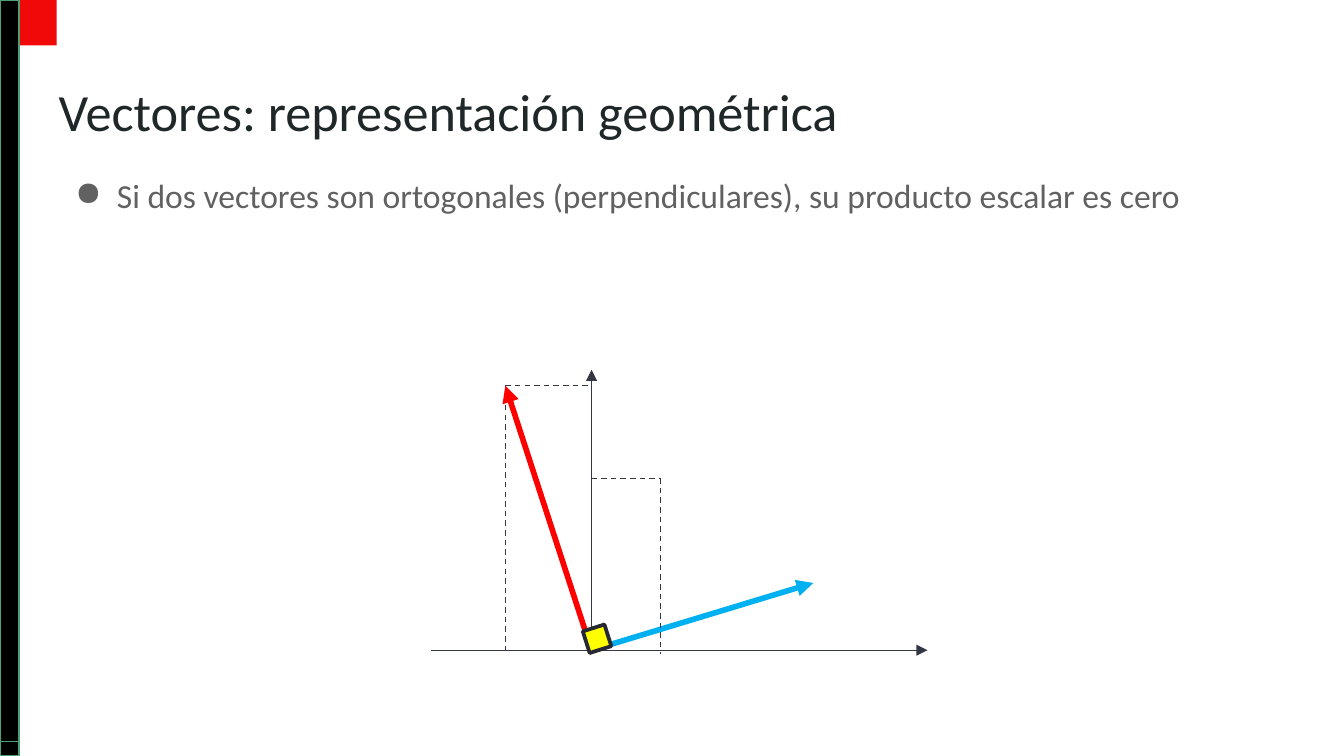
from lxml import etree
from pptx import Presentation
from pptx.dml.color import RGBColor
from pptx.enum.dml import MSO_LINE
from pptx.enum.shapes import MSO_CONNECTOR, MSO_SHAPE
from pptx.enum.text import MSO_ANCHOR
from pptx.oxml.ns import qn
from pptx.util import Cm, Pt

BLACK = RGBColor(0x00, 0x00, 0x00)
GREEN = RGBColor(0x4B, 0xA1, 0x73)
CRIMSON = RGBColor(0xF1, 0x09, 0x09)
TITLE = RGBColor(0x20, 0x27, 0x29)
GREY = RGBColor(0x61, 0x61, 0x61)
SLATE = RGBColor(0x33, 0x36, 0x43)
BLUE = RGBColor(0x00, 0xB0, 0xF0)
RED = RGBColor(0xFF, 0x00, 0x00)
YELLOW = RGBColor(0xFF, 0xFF, 0x00)
DARK = RGBColor(0x27, 0x29, 0x32)

WIDE, HIGH = 25.4, 14.29
BAR = 0.36
ZERO_X, ZERO_Y = 11.18, 12.29
RED_TIP = (9.55, 7.29)
BLUE_TIP = (15.37, 11.02)
MARK_X, MARK_Y = 12.48, 9.04


def add_rect(slide, x, y, w, h, fill, edge=None, width=0.75, turn=0):
    rect = slide.shapes.add_shape(MSO_SHAPE.RECTANGLE, Cm(x), Cm(y), Cm(w), Cm(h))
    rect.shadow.inherit = False
    rect.rotation = turn
    rect.fill.solid()
    rect.fill.fore_color.rgb = fill
    if edge is None:
        rect.line.fill.background()
    else:
        rect.line.color.rgb = edge
        rect.line.width = Pt(width)


def add_line(slide, start, end, color=SLATE, width=0.75, dash=False, arrow=False):
    ends = [Cm(v) for v in (*start, *end)]
    line = slide.shapes.add_connector(MSO_CONNECTOR.STRAIGHT, *ends)
    line.line.color.rgb = color
    line.line.width = Pt(width)
    if dash:
        line.line.dash_style = MSO_LINE.DASH
    if arrow:
        pen = line.line.fill._xPr
        etree.SubElement(pen, qn("a:tailEnd"), type="triangle")
    etree.SubElement(line._element.spPr, qn("a:effectLst"))


def add_text(slide, x, y, w, h, text, size, color, bullet=False):
    frame = slide.shapes.add_textbox(Cm(x), Cm(y), Cm(w), Cm(h)).text_frame
    frame.word_wrap = True
    frame.vertical_anchor = MSO_ANCHOR.TOP
    frame.margin_left = frame.margin_right = Cm(0.25)
    frame.margin_top = frame.margin_bottom = Cm(0.25)
    para = frame.paragraphs[0]
    if bullet:
        set_bullet(para, color)
        para.line_spacing = 1.15
    run = para.add_run()
    run.text = text
    run.font.name = "Calibri"
    run.font.size = Pt(size)
    run.font.color.rgb = color


def set_bullet(para, color):
    props = para._p.get_or_add_pPr()
    props.set("marL", str(Cm(0.79)))
    props.set("indent", str(-Cm(0.79)))
    tint = etree.SubElement(props, qn("a:buClr"))
    etree.SubElement(tint, qn("a:srgbClr"), val=str(color))
    etree.SubElement(props, qn("a:buChar"), char="●")


def add_frame(slide):
    """Draw the left bars and the corner block."""
    add_rect(slide, 0, 0, BAR, HIGH, BLACK, GREEN)
    add_rect(slide, 0, 0, 1.07, 0.86, CRIMSON)
    add_rect(slide, 0, 0, BAR, 14.02, BLACK, GREEN)


def add_plot(slide):
    """Draw the axes, both vectors, their guides and the right angle."""
    zero = (ZERO_X, ZERO_Y)
    red_x, red_y = RED_TIP
    add_line(slide, zero, (ZERO_X, 6.99), arrow=True)
    add_line(slide, (8.15, ZERO_Y), (17.53, ZERO_Y), arrow=True)
    add_line(slide, zero, BLUE_TIP, BLUE, 3, arrow=True)
    guides = [
        ((MARK_X, MARK_Y), (MARK_X, 12.37)),
        ((ZERO_X, MARK_Y), (MARK_X, MARK_Y)),
        (RED_TIP, (ZERO_X, red_y)),
        (RED_TIP, (red_x, ZERO_Y)),
    ]
    for start, end in guides:
        add_line(slide, start, end, dash=True)
    add_line(slide, zero, RED_TIP, RED, 3, arrow=True)
    add_rect(slide, 11.07, 11.86, 0.43, 0.43, YELLOW, DARK, 2, 342.4)


def main():
    deck = Presentation()
    deck.slide_width, deck.slide_height = Cm(WIDE), Cm(HIGH)
    slide = deck.slides.add_slide(deck.slide_layouts[6])
    add_frame(slide)
    add_text(slide, 0.86, 1.24, 23.67, 1.6,
             "Vectores: representación geométrica", 28, TITLE)
    add_text(slide, 1.17, 2.95, 23.37, 11.07,
             "Si dos vectores son ortogonales (perpendiculares), "
             "su producto escalar es cero", 18, GREY, bullet=True)
    add_plot(slide)
    deck.save("out.pptx")


if __name__ == "__main__":
    main()
